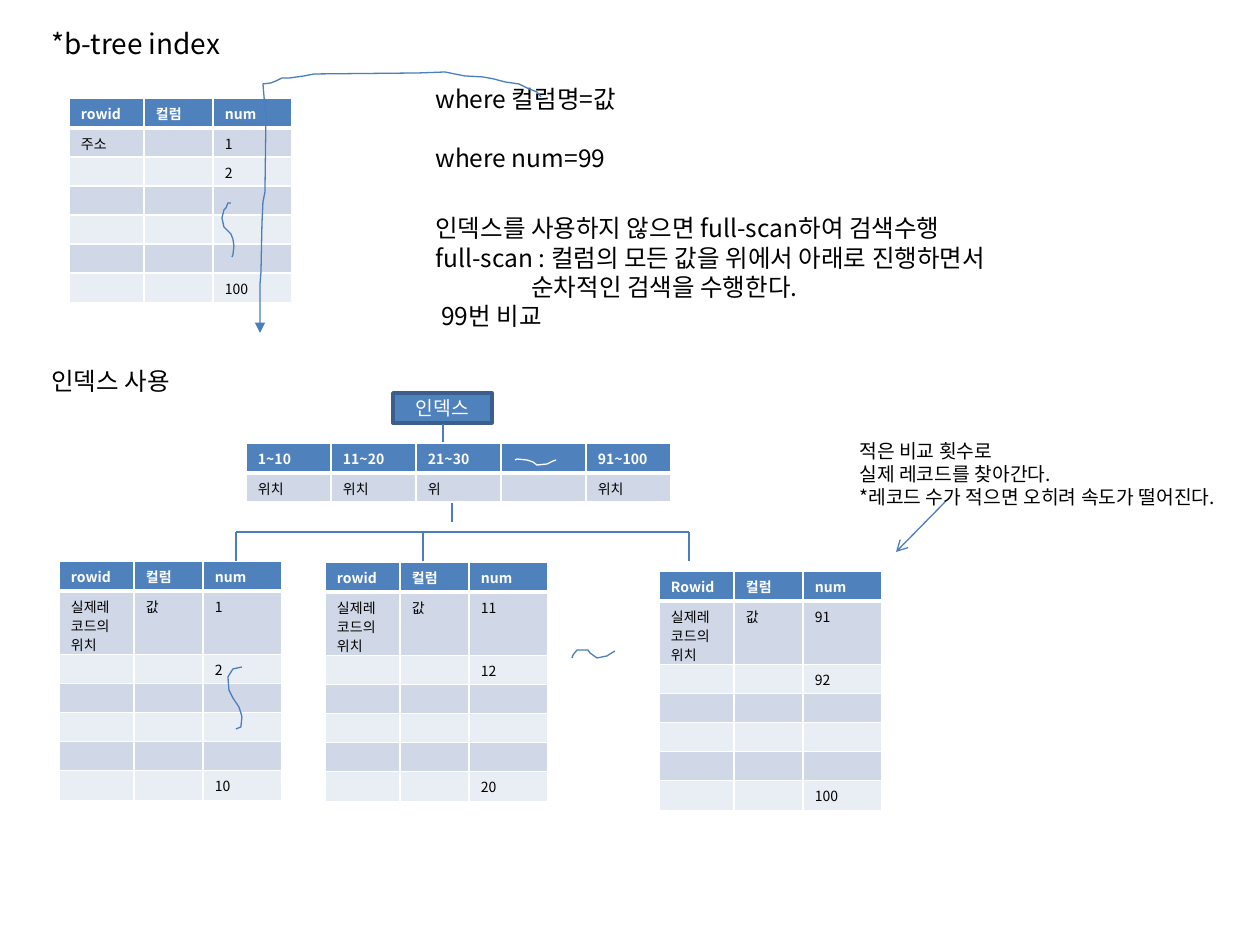
from dataclasses import dataclass
from typing import Optional

from lxml.etree import SubElement
from pptx import Presentation
from pptx.dml.color import RGBColor
from pptx.enum.shapes import MSO_CONNECTOR, MSO_SHAPE
from pptx.enum.text import MSO_ANCHOR, PP_ALIGN
from pptx.oxml.ns import qn
from pptx.util import Pt

EMU_PER_PX = 914400 / 126
FONT = "Noto Sans CJK KR"
COLORS = {
    "black": "000000",
    "white": "FFFFFF",
    "header": "4F81BD",
    "band_dark": "D0D8E8",
    "band_light": "E9EDF4",
    "line": "4B7EBC",
    "box_line": "3A5F8C",
}
RECORD_COLUMNS = [75, 69, 79]
RECORD_ROWS = 7
ROW_HEIGHT = 29
HEADER_HEIGHT = 30
CELL_FONT_SIZE = 8


@dataclass
class Line:
    text: str
    indent: int = 0
    space_before: int = 0


@dataclass
class TextBlock:
    box: tuple[int, int, int, int]
    size: int
    lines: list[Line]


@dataclass
class RecordTable:
    left: int
    top: int
    id_title: str
    first_row: list[str]
    second: str
    last: str
    first_height: int = ROW_HEIGHT


@dataclass
class Stroke:
    points: list[tuple[int, int]]
    color: str = "line"
    arrow: Optional[str] = None


TEXT_BLOCKS = [
    TextBlock((39, 20, 196, 47), 16, [Line("*b-tree index")]),
    TextBlock((423, 78, 218, 102), 14, [
        Line("where 컬럼명=값"), Line("where num=99", space_before=17)]),
    TextBlock((423, 207, 631, 131), 14, [
        Line("인덱스를 사용하지 않으면 full-scan하여 검색수행"),
        Line("full-scan : 컬럼의 모든 값을 위에서 아래로 진행하면서"),
        Line("순차적인 검색을 수행한다.", indent=96),
        Line("99번 비교", indent=6)]),
    TextBlock((39, 360, 157, 43), 14, [Line("인덱스 사용")]),
    TextBlock((847, 433, 422, 83), 11, [
        Line("적은 비교 횟수로"), Line("실제 레코드를 찾아간다."),
        Line("*레코드 수가 적으면 오히려 속도가 떨어진다.")]),
]
LOCATION = "실제레코드의 위치"
RECORD_TABLES = [
    RecordTable(69, 98, "rowid", ["주소", "", "1"], "2", "100"),
    RecordTable(59, 561, "rowid", [LOCATION, "값", "1"], "2", "10", 62),
    RecordTable(325, 562, "rowid", [LOCATION, "값", "11"], "12", "20", 62),
    RecordTable(659, 571, "Rowid", [LOCATION, "값", "91"], "92", "100", 62),
]
INDEX_ROWS = [["1~10", "11~20", "21~30", "", "91~100"],
              ["위치", "위치", "위", "", "위치"]]
BRANCH_TOP, BRANCH_BOTTOM = 532, 561
BRANCHES = [236, 423, 689]
CONNECTORS = [
    Stroke([(443, 424), (443, 442)]),
    Stroke([(452, 503), (452, 522)]),
    Stroke([(BRANCHES[0], BRANCH_TOP), (BRANCHES[-1], BRANCH_TOP)]),
    *[Stroke([(x, BRANCH_TOP), (x, BRANCH_BOTTOM)]) for x in BRANCHES],
    Stroke([(945, 502), (896, 552)], arrow="arrow"),
]
FULL_SCAN = Stroke([
    (541, 97), (537, 92), (527, 88), (519, 84), (505, 82), (494, 79), (483, 77),
    (465, 76), (445, 72), (418, 73), (314, 74), (304, 76), (290, 78), (282, 78),
    (276, 81), (271, 83), (263, 84), (265, 108), (266, 117), (265, 192),
    (263, 202), (262, 223), (261, 272), (260, 284), (260, 333)], arrow="triangle")
SQUIGGLES = [
    Stroke([(231, 203), (228, 203), (226, 208), (224, 210), (222, 218), (224, 227),
            (231, 234), (233, 239), (234, 246), (233, 255), (232, 257)]),
    Stroke([(515, 460), (517, 459), (527, 460), (533, 462), (537, 465), (547, 464),
            (553, 461), (556, 460)], color="white"),
    Stroke([(242, 667), (233, 669), (228, 677), (229, 690), (233, 698), (237, 704),
            (239, 707), (241, 713), (242, 717), (241, 727), (236, 729)]),
    Stroke([(572, 658), (573, 655), (577, 650), (588, 650), (590, 653), (597, 658),
            (607, 656), (610, 654), (615, 651)]),
]


def px(length: float) -> int:
    return round(length * EMU_PER_PX)


def rgb(name: str) -> RGBColor:
    return RGBColor.from_string(COLORS[name])


def write(paragraph, text: str, *, size: int, color: str = "black", bold: bool = False) -> None:
    run = paragraph.add_run()
    run.text = text
    font = run.font
    font.size, font.bold, font.name = Pt(size), bold, FONT
    font.color.rgb = rgb(color)
    SubElement(run._r.get_or_add_rPr(), qn("a:ea")).set("typeface", FONT)


def add_text_block(slide, block: TextBlock) -> None:
    frame = slide.shapes.add_textbox(*map(px, block.box)).text_frame
    frame.word_wrap = True
    for number, line in enumerate(block.lines):
        paragraph = frame.add_paragraph() if number else frame.paragraphs[0]
        if line.space_before:
            paragraph.space_before = Pt(line.space_before)
        if line.indent:
            properties = paragraph._p.get_or_add_pPr()
            properties.set("marL", str(px(line.indent)))
            properties.set("indent", "0")
        write(paragraph, line.text, size=block.size)


def set_borders(cell, bottom: int) -> None:
    """White borders of 1 pt, with a bottom one of the given points."""
    properties = cell._tc.get_or_add_tcPr()
    for position, side in enumerate("LRTB"):
        border = SubElement(properties, qn(f"a:ln{side}"))
        border.set("w", str(Pt(bottom if side == "B" else 1)))
        fill = SubElement(border, qn("a:solidFill"))
        SubElement(fill, qn("a:srgbClr")).set("val", COLORS["white"])
        properties.insert(position, border)


def fill_cell(cell, text: str, *, fill: str, header: bool) -> None:
    cell.fill.solid()
    cell.fill.fore_color.rgb = rgb(fill)
    cell.margin_left = cell.margin_right = px(12)
    cell.margin_top, cell.margin_bottom = px(6), 0
    set_borders(cell, 3 if header else 1)
    paragraph = cell.text_frame.paragraphs[0]
    paragraph.line_spacing = Pt(11)
    if text:
        write(paragraph, text, size=CELL_FONT_SIZE, bold=header,
              color="white" if header else "black")
    # An empty cell takes its height from the size of the paragraph end.
    paragraph_end = SubElement(paragraph._p, qn("a:endParaRPr"))
    paragraph_end.set("sz", str(CELL_FONT_SIZE * 100))


def add_table(slide, left: int, top: int, columns: list[int], heights: list[int],
              rows: list[list[str]]) -> None:
    box = map(px, (left, top, sum(columns), sum(heights)))
    table = slide.shapes.add_table(len(rows), len(columns), *box).table
    for column, width in zip(table.columns, columns):
        column.width = px(width)
    for number, (row, height, texts) in enumerate(zip(table.rows, heights, rows)):
        row.height = px(height)
        header = number == 0
        fill = "header" if header else "band_dark" if number % 2 else "band_light"
        for cell, text in zip(row.cells, texts):
            fill_cell(cell, text, fill=fill, header=header)


def add_record_table(slide, record: RecordTable) -> None:
    rows = [[""] * 3 for _ in range(RECORD_ROWS)]
    rows[0] = [record.id_title, "컬럼", "num"]
    rows[1] = record.first_row
    rows[2][2], rows[-1][2] = record.second, record.last
    heights = [HEADER_HEIGHT, record.first_height, *[ROW_HEIGHT] * 4, ROW_HEIGHT + 1]
    add_table(slide, record.left, record.top, RECORD_COLUMNS, heights, rows)


def style_line(shape, stroke: Stroke) -> None:
    shape.line.color.rgb = rgb(stroke.color)
    shape.line.width = Pt(0.75)
    if stroke.arrow:
        SubElement(shape.line._get_or_add_ln(), qn("a:tailEnd")).set("type", stroke.arrow)


def add_connector(slide, stroke: Stroke) -> None:
    start, end = stroke.points
    connector = slide.shapes.add_connector(
        MSO_CONNECTOR.STRAIGHT, *map(px, start + end))
    style_line(connector, stroke)
    SubElement(connector._element.spPr, qn("a:effectLst"))


def add_freehand(slide, stroke: Stroke) -> None:
    start, *rest = stroke.points
    builder = slide.shapes.build_freeform(*start, scale=EMU_PER_PX)
    builder.add_line_segments(rest, close=False)
    shape = builder.convert_to_shape()
    shape.fill.background()
    shape.shadow.inherit = False
    style_line(shape, stroke)


def add_index_box(slide) -> None:
    box = slide.shapes.add_shape(MSO_SHAPE.RECTANGLE, *map(px, (393, 393, 99, 30)))
    box.shadow.inherit = False
    box.fill.solid()
    box.fill.fore_color.rgb = rgb("header")
    box.line.color.rgb = rgb("box_line")
    box.line.width = Pt(2)
    box.text_frame.vertical_anchor = MSO_ANCHOR.MIDDLE
    paragraph = box.text_frame.paragraphs[0]
    paragraph.alignment = PP_ALIGN.CENTER
    write(paragraph, "인덱스", size=11, color="white")


def main() -> None:
    presentation = Presentation()
    presentation.slide_width, presentation.slide_height = px(1260), px(945)
    slide = presentation.slides.add_slide(presentation.slide_layouts[6])
    for record in RECORD_TABLES:
        add_record_table(slide, record)
    add_table(slide, 246, 443, [85] * 5, [HEADER_HEIGHT, ROW_HEIGHT], INDEX_ROWS)
    add_index_box(slide)
    for block in TEXT_BLOCKS:
        add_text_block(slide, block)
    for stroke in CONNECTORS:
        add_connector(slide, stroke)
    for stroke in [FULL_SCAN, *SQUIGGLES]:
        add_freehand(slide, stroke)
    presentation.save("out.pptx")


if __name__ == "__main__":
    main()
